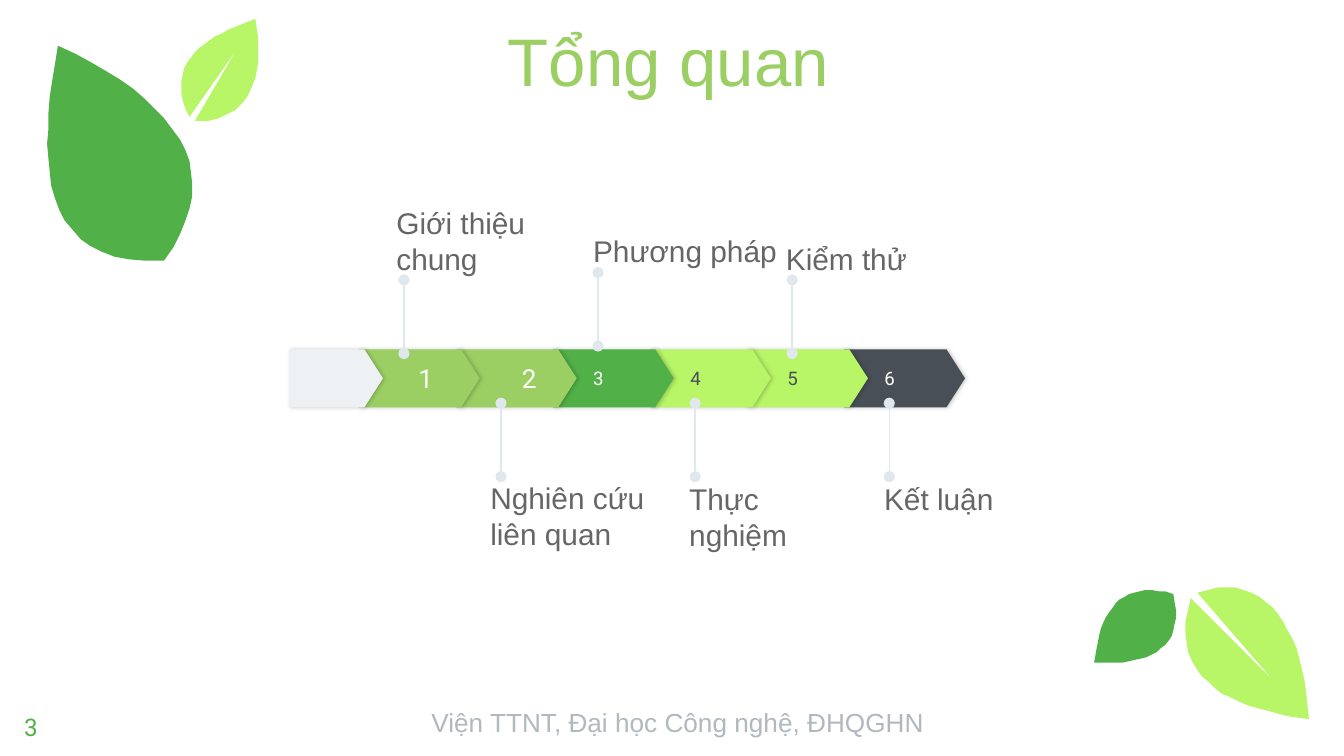
from lxml.etree import SubElement
from pptx import Presentation
from pptx.dml.color import RGBColor
from pptx.enum.shapes import MSO_CONNECTOR, MSO_SHAPE
from pptx.enum.text import MSO_ANCHOR, PP_ALIGN
from pptx.oxml.ns import qn
from pptx.util import Pt

GREEN, LIME, SAGE = "51B148", "B8F567", "9BCF63"
SLATE, MIST, PALE, WHITE = "484F56", "E0E8EE", "EEF1F3", "FFFFFF"
GREY, FOOTER_GREY = "666666", "B1B8BE"

# fill, number colour, label, label offset from the pin, label raise
STEPS = [
    (SAGE, WHITE, "Giới thiệu chung", -4, 0),
    (SAGE, WHITE, "Nghiên cứu liên quan", -5.7, 0.5),
    (GREEN, WHITE, "Phương pháp", -2.6, 4),
    (LIME, SLATE, "Thực nghiệm", -3.2, 0),
    (LIME, SLATE, "Kiểm thử", -3.3, 0),
    (SLATE, WHITE, "Kết luận", -2.7, 0),
]

# left, top, colour, curve from stalk to tip, curve from tip to stalk, vein end
LEAVES = [
    (634.3, 315.4, LIME, [(10, 3), (62, -16), (90, 34), (93, 97)],
     [(93, 97), (43, 91), (-15, 71), (5, 7)], [(67, 69)]),
    (586.1, 315.4, GREEN, [(59, 4), (20, -8), (4, 18), (0, 55)],
     [(0, 55), (35, 57), (70, 48), (59, 4)], []),
    (96.5, 10.1, LIME, [(11, 76), (44, 79), (66, 50), (56, 0)],
     [(56, 0), (22, 12), (-14, 31), (7, 73)], [(42, 23)]),
    (24.5, 24.5, GREEN, [(88, 160), (138, 92), (95, 40), (9, 0)],
     [(9, 0), (-6, 85), (-8, 165), (88, 160)], []),
]


def rgb(color):
    return RGBColor.from_string(color)


def paint(sp, color):
    sp.shadow.inherit = False
    sp.fill.solid()
    sp.fill.fore_color.rgb = rgb(color)
    sp.line.fill.background()


def write(sp, text, size, color, font="Arial", anchor=MSO_ANCHOR.TOP,
          align=PP_ALIGN.LEFT, insets=(0, 0, 0, 0)):
    tf = sp.text_frame
    tf.word_wrap = True
    tf.vertical_anchor = anchor
    tf.margin_left, tf.margin_top, tf.margin_right, tf.margin_bottom = map(Pt, insets)
    p = tf.paragraphs[0]
    p.alignment = align
    r = p.add_run()
    r.text = text
    r.font.size = Pt(size)
    r.font.name = font
    r.font.color.rgb = rgb(color)


def add_text(slide, box, text, size, color, **style):
    sp = slide.shapes.add_textbox(*map(Pt, box))
    write(sp, text, size, color, **style)


def bezier(curve, steps=20):
    """Return points along a cubic curve given by its four control points."""
    points = []
    for i in range(steps + 1):
        t = i / steps
        weights = ((1 - t) ** 3, 3 * t * (1 - t) ** 2, 3 * t * t * (1 - t), t ** 3)
        points.append(tuple(sum(w * c for w, c in zip(weights, axis))
                            for axis in zip(*curve)))
    return points


def add_leaf(slide, left, top, color, outward, inward, vein):
    """Add a leaf whose curves are given on a grid of 0.72 pt."""
    outline = bezier(outward) + bezier(inward)[1:] + vein
    builder = slide.shapes.build_freeform(*outline[0], scale=Pt(0.72))
    builder.add_line_segments(outline[1:], close=True)
    paint(builder.convert_to_shape(Pt(left), Pt(top)), color)


def add_arrow(slide, box, color):
    """Add a pentagon arrow with a soft shadow."""
    sp = slide.shapes.add_shape(MSO_SHAPE.PENTAGON, *map(Pt, box))
    sp.adjustments[0] = 0.32
    paint(sp, color)
    effects = sp._element.spPr.find(qn("a:effectLst"))
    shadow = SubElement(effects, qn("a:outerShdw"), blurRad=str(Pt(2.2)),
                        dist=str(Pt(0.8)), dir="0", algn="bl", rotWithShape="0")
    black = SubElement(shadow, qn("a:srgbClr"), val="000000")
    SubElement(black, qn("a:alpha"), val="20000")
    return sp


def add_pin(slide, x, y1, y2):
    """Add a vertical line with a dot at each end."""
    line = slide.shapes.add_connector(MSO_CONNECTOR.STRAIGHT, Pt(x), Pt(y1), Pt(x), Pt(y2))
    line.line.color.rgb = rgb(MIST)
    line.line.width = Pt(0.75)
    ln = line.line._get_or_add_ln()
    for end in ("a:headEnd", "a:tailEnd"):
        SubElement(ln, qn(end), type="oval")
    SubElement(line._element.spPr, qn("a:effectLst"))


def add_timeline(slide, left, top, height):
    """Draw the arrows from last to first, then the pins and labels."""
    pitch, width, pin_length, label_height = 52, 64.8, 39.4, 41.8
    first = left + 37.4
    for i, (fill, color, *_) in reversed(list(enumerate(STEPS))):
        sp = add_arrow(slide, (first + i * pitch, top, width, height), fill)
        size, inset = (14, 32 + 3.4 * i) if i < 2 else (10, 21.6)
        write(sp, str(i + 1), size, color, font="Roboto", anchor=MSO_ANCHOR.MIDDLE,
              insets=(inset, 0, 0, 0))
    add_arrow(slide, (left, top, 50.4, height), PALE)

    for i, (_, _, label, dx, lift) in enumerate(STEPS):
        x = first + 24.2 + i * pitch
        if i % 2 == 0:
            start = top + 2.2 - lift
            label_top = start - pin_length - 2 - label_height
            label_width, anchor = 98.6, MSO_ANCHOR.BOTTOM
        else:
            start = top + height - 2.2 + pin_length
            label_top = start + 2.2 - lift
            label_width, anchor = 82.8 if i == 3 else 98.6, MSO_ANCHOR.TOP
        add_pin(slide, x, start, start - pin_length)
        add_text(slide, (x + dx, label_top, label_width, label_height),
                 label, 16, GREY, anchor=anchor)


def add_overview_slide(prs):
    slide = prs.slides.add_slide(prs.slide_layouts[6])
    for leaf in LEAVES:
        add_leaf(slide, *leaf)
    add_text(slide, (5.8, 373.7, 43.2, 31), "3", 13, GREEN, font="Roboto",
             anchor=MSO_ANCHOR.MIDDLE, insets=(7.2,) * 4)
    add_timeline(slide, 154.8, 187.2, 31)
    add_text(slide, (257, 9.4, 202.3, 51.1), "Tổng quan", 36, SAGE,
             anchor=MSO_ANCHOR.BOTTOM, align=PP_ALIGN.CENTER, insets=(7.2,) * 4)
    add_text(slide, (224, 375.1, 318.2, 24.5), "Viện TTNT, Đại học Công nghệ, ĐHQGHN",
             14, FOOTER_GREY, insets=(7.2, 3.6, 7.2, 3.6))


def main():
    prs = Presentation()
    prs.slide_width, prs.slide_height = Pt(720), Pt(405)
    add_overview_slide(prs)
    prs.save("out.pptx")


if __name__ == "__main__":
    main()
